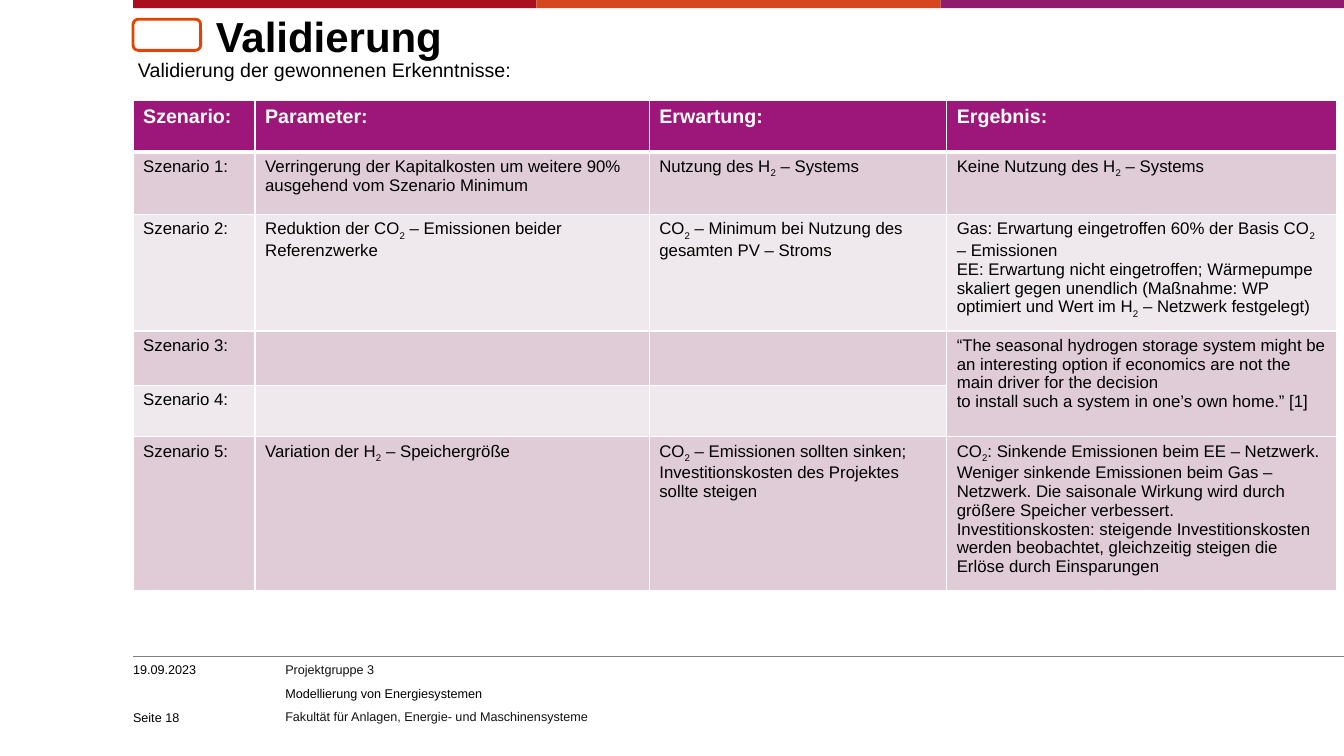
import pptx
import pptx.util
import pptx.dml.color
import pptx.enum.shapes
import pptx.enum.text
import pptx.oxml.ns
from dataclasses import dataclass
from lxml import etree

HEADINGS = ["Szenario:", "Parameter:", "Erwartung:", "Ergebnis:"]
SCENARIOS = [
    ["Szenario 1:",
     "Verringerung der Kapitalkosten um weitere 90% ausgehend vom Szenario Minimum",
     "Nutzung des H~2~ – Systems",
     "Keine Nutzung des H~2~ – Systems"],
    ["Szenario 2:",
     "Reduktion der CO~2~ – Emissionen beider Referenzwerke",
     "CO~2~ – Minimum bei Nutzung des gesamten PV – Stroms",
     "Gas: Erwartung eingetroffen 60% der Basis CO~2~ – Emissionen\n"
     "EE: Erwartung nicht eingetroffen; Wärmepumpe skaliert gegen unendlich "
     "(Maßnahme: WP optimiert und Wert im H~2~ – Netzwerk festgelegt)"],
    ["Szenario 3:", "", "",
     "“The seasonal hydrogen storage system might be an interesting option if "
     "economics are not the main driver for the decision\n"
     "to install such a system in one’s own home.” [1]"],
    ["Szenario 4:", "", "", ""],
    ["Szenario 5:",
     "Variation der H~2~ – Speichergröße",
     "CO~2~ – Emissionen sollten sinken; Investitionskosten des Projektes sollte steigen",
     "CO~2~: Sinkende Emissionen beim EE – Netzwerk. Weniger sinkende Emissionen beim "
     "Gas – Netzwerk. Die saisonale Wirkung wird durch größere Speicher verbessert.\n"
     "Investitionskosten: steigende Investitionskosten werden beobachtet, "
     "gleichzeitig steigen die Erlöse durch Einsparungen"],
]
COLUMN_WIDTHS = [121, 391, 295, 387]
ROW_HEIGHTS = [51, 62, 113, 54, 51, 150]
MERGED_RESULT = ((3, 3), (4, 3))
FOOTER = [
    ("Projektgruppe 3", "141313"),
    ("Modellierung von Energiesystemen", "000000"),
    ("Fakultät für Anlagen, Energie- und Maschinensysteme", "141313"),
]
SLIDE_WIDTH, SLIDE_HEIGHT = 1333, 750
LEFT = 132


@dataclass
class Theme:
    font: str = "Arial"
    black: str = "000000"
    white: str = "FFFFFF"
    rule: str = "808080"
    badge: str = "E24300"
    header: str = "9D167A"
    bands: tuple = ("DFCCD7", "EFE8EC")
    stripes: tuple = ("AA0F1F", "D7471F", "901B6E")
    title: int = 30
    heading: int = 14
    body: int = 12
    footer: int = 9


theme = Theme()


def px(length):
    return pptx.util.Emu(length * 9144)


def rgb(value):
    return pptx.dml.color.RGBColor.from_string(value)


def write(para, text, size, color, bold=False):
    for index, piece in enumerate(text.split("~")):
        if not piece:
            continue
        span = para.add_run()
        span.text = piece
        span.font.name = theme.font
        span.font.size = pptx.util.Pt(size)
        span.font.bold = bold
        span.font.color.rgb = rgb(color)
        if index % 2:
            span.font._element.set("baseline", "-25000")


def add_text(page, place, lines, size, bold=False, wrap=False, inset=(0, 0), after=0, leading=None):
    box = page.shapes.add_textbox(*map(px, place))
    frame = box.text_frame
    frame.word_wrap = wrap
    frame.margin_left = frame.margin_right = px(inset[0])
    frame.margin_top = frame.margin_bottom = px(inset[1])
    for index, (text, color) in enumerate(lines):
        para = frame.add_paragraph() if index else frame.paragraphs[0]
        para.space_after = pptx.util.Pt(after)
        if leading:
            para.line_spacing = pptx.util.Pt(leading)
        write(para, text, size, color, bold)
    return frame


def add_block(page, kind, place, fill, line=None):
    shape = page.shapes.add_shape(kind, *map(px, place))
    shape.shadow.inherit = False
    shape.fill.solid()
    shape.fill.fore_color.rgb = rgb(fill)
    if line:
        shape.line.color.rgb = rgb(line)
        shape.line.width = pptx.util.Pt(2)
    else:
        shape.line.fill.background()


def add_rule(page, top):
    rule = page.shapes.add_connector(
        pptx.enum.shapes.MSO_CONNECTOR.STRAIGHT, px(LEFT), px(top), px(SLIDE_WIDTH), px(top))
    rule.line.color.rgb = rgb(theme.rule)
    rule.line.width = pptx.util.Pt(0.5)
    etree.SubElement(rule._element.spPr, pptx.oxml.ns.qn("a:effectLst"))


def set_borders(cell, row):
    properties = cell._tc.get_or_add_tcPr()
    widths = {"L": 1, "R": 1, "T": 3 if row == 1 else 1, "B": 3 if row == 0 else 1}
    for side, points in widths.items():
        line = etree.SubElement(properties, pptx.oxml.ns.qn(f"a:ln{side}"),
                                w=str(pptx.util.Pt(points)))
        fill = etree.SubElement(line, pptx.oxml.ns.qn("a:solidFill"))
        etree.SubElement(fill, pptx.oxml.ns.qn("a:srgbClr"), val=theme.white)


def add_scenarios(page):
    place = (LEFT, 100, sum(COLUMN_WIDTHS), sum(ROW_HEIGHTS))
    table = page.shapes.add_table(len(ROW_HEIGHTS), len(COLUMN_WIDTHS), *map(px, place)).table
    for column, width in zip(table.columns, COLUMN_WIDTHS):
        column.width = px(width)
    for row, height in zip(table.rows, ROW_HEIGHTS):
        row.height = px(height)
    for r, texts in enumerate([HEADINGS] + SCENARIOS):
        head = r == 0
        size, color = (theme.heading, theme.white) if head else (theme.body, theme.black)
        for c, text in enumerate(texts):
            cell = table.cell(r, c)
            set_borders(cell, r)
            cell.fill.solid()
            cell.fill.fore_color.rgb = rgb(theme.header if head else theme.bands[(r - 1) % 2])
            for index, line in enumerate(text.split("\n")):
                frame = cell.text_frame
                para = frame.add_paragraph() if index else frame.paragraphs[0]
                para.font.size = pptx.util.Pt(size)
                write(para, line, size, color, head)
    first, last = MERGED_RESULT
    table.cell(*first).merge(table.cell(*last))


def main():
    deck = pptx.Presentation()
    deck.slide_width, deck.slide_height = px(SLIDE_WIDTH), px(SLIDE_HEIGHT)
    page = deck.slides.add_slide(deck.slide_layouts[6])
    shapes = pptx.enum.shapes.MSO_SHAPE

    add_text(page, (283, 657, 646, 67), FOOTER, theme.footer, after=6)
    stripe = (SLIDE_WIDTH - LEFT) / len(theme.stripes)
    edges = [round(LEFT + stripe * i) for i in range(len(theme.stripes) + 1)]
    for left, right, color in zip(edges, edges[1:], theme.stripes):
        add_block(page, shapes.RECTANGLE, (left, 0, right - left, 8), color)
    add_rule(page, 651)
    add_text(page, (LEFT, 657, 142, 20), [("19.09.2023", theme.black)], theme.footer)
    number = add_text(page, (LEFT, 696, 106, 23), [("Seite 18", theme.black)],
                      theme.footer, wrap=True)
    number.vertical_anchor = pptx.enum.text.MSO_ANCHOR.BOTTOM
    add_text(page, (214, 19, 238, 47), [("Validierung", theme.black)],
             theme.title, bold=True, wrap=True, leading=30)
    add_text(page, (127, 53, 392, 34),
             [("Validierung der gewonnenen Erkenntnisse:", theme.black)],
             theme.heading, inset=(10, 5))
    add_block(page, shapes.ROUNDED_RECTANGLE, (LEFT, 19, 67, 31), theme.white, theme.badge)
    add_scenarios(page)
    deck.save("out.pptx")


if __name__ == "__main__":
    main()
